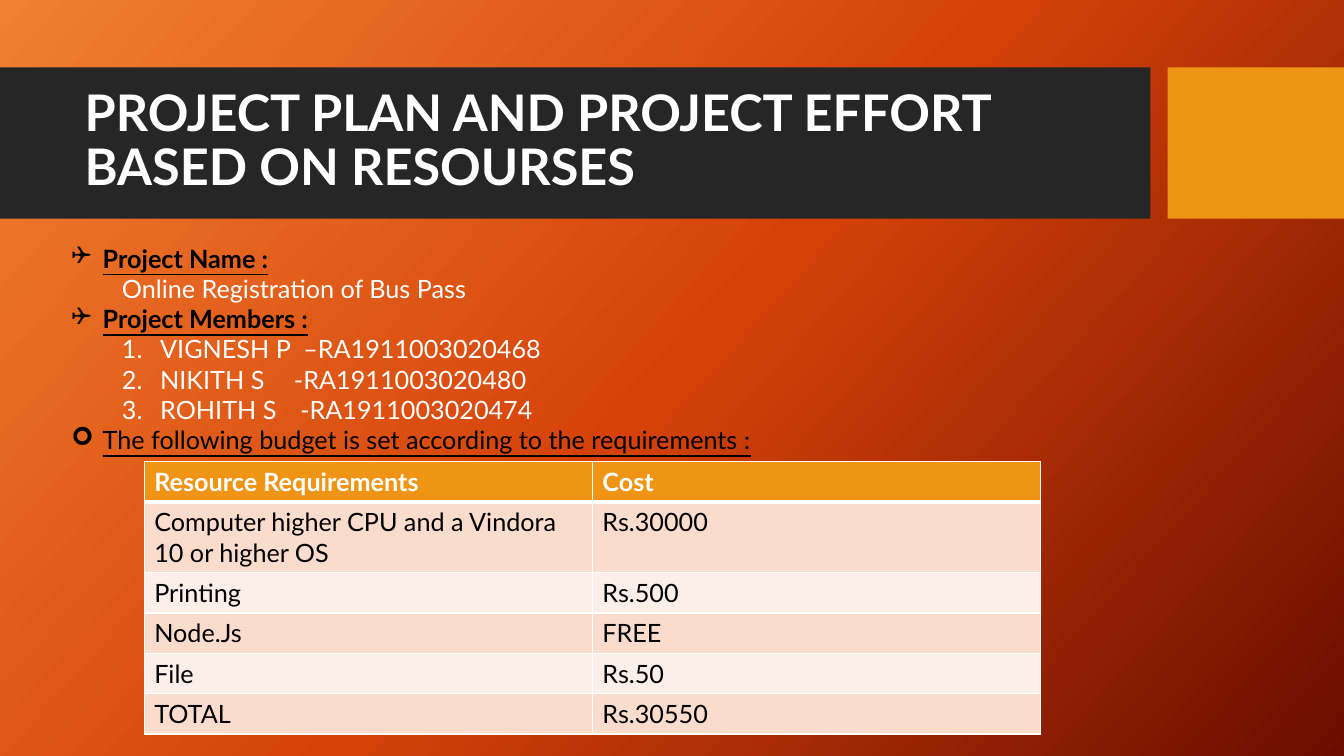
import copy
import lxml.etree
import pptx
import pptx.dml.color
import pptx.enum.shapes
import pptx.enum.text
import pptx.oxml.ns
import pptx.util

theme = {
    "font": "Lato", "head": 36, "body": 18,
    "dark": "262626", "gold": "F09415", "white": "FFFFFF", "black": "000000",
    "bands": ["FCEEE8", "F9DCCC"],
    "back": [(0, "F18031"), (0.5, "D54209"), (1, "6A0D00")],
}
qn = pptx.oxml.ns.qn
rgb = pptx.dml.color.RGBColor.from_string

deck = pptx.Presentation()
deck.slide_width = pptx.util.Inches(13.33)
deck.slide_height = pptx.util.Inches(7.5)
slide = deck.slides.add_slide(deck.slide_layouts[5])


def area(left, top, wide, high):
    """Turn percent shares of the slide into lengths."""
    across, down = deck.slide_width / 100, deck.slide_height / 100
    return [int(left * across), int(top * down), int(wide * across), int(high * down)]


def add_run(para, text, color, size=theme["body"], bold=False, under=False):
    run = para.add_run()
    run.text = text
    font = run.font
    font.name, font.size = theme["font"], pptx.util.Pt(size)
    font.bold, font.underline = bold, under
    font.color.rgb = rgb(theme[color])
    return run


# Background gradient
fill = slide.background.fill
fill.gradient()
fill.gradient_angle = 360 - 42
stops = slide.element.find(".//" + qn("a:gsLst"))
stops.insert(1, copy.deepcopy(stops[0]))
for stop, (place, color) in zip(fill.gradient_stops, theme["back"]):
    stop.position = place
    stop.color.rgb = rgb(color)

# Title band and gold block
for left, wide, color in [(0, 85.6, "dark"), (86.87, 13.13, "gold")]:
    band = slide.shapes.add_shape(
        pptx.enum.shapes.MSO_SHAPE.RECTANGLE, *area(left, 8.93, wide, 20))
    band.shadow.inherit = False
    band.fill.solid()
    band.fill.fore_color.rgb = rgb(theme[color])
    band.line.fill.background()

# Title, in front of the band
title = slide.shapes.title
title.left, title.top, title.width, title.height = area(5.55, 10.93, 78.84, 15.73)
slide.shapes._spTree.append(title.element)
frame = title.text_frame
frame.word_wrap = True
frame.auto_size = pptx.enum.text.MSO_AUTO_SIZE.NONE
frame.vertical_anchor = pptx.enum.text.MSO_ANCHOR.MIDDLE
para = frame.paragraphs[0]
para.alignment = pptx.enum.text.PP_ALIGN.LEFT
para.line_spacing = 0.9
add_run(para, "PROJECT PLAN AND PROJECT EFFORT BASED ON RESOURSES",
        "white", theme["head"], bold=True)

# Project facts: kind of line, then its text
# A member's last value is the extra gap before the number, in points
facts = [
    ("❑", "Project Name :"),
    ("plain", "Online Registration of Bus Pass"),
    ("❑", "Project Members :"),
    ("member", "VIGNESH P", "–RA1911003020468", 4.1),
    ("member", "NIKITH S", "-RA1911003020480", 16.4),
    ("member", "ROHITH S", "-RA1911003020474", 12.3),
    ("➢", "The following budget is set according to the requirements :"),
]
indents = {"plain": (0.5, 0), "member": (0.88, -0.38)}
frame = slide.shapes.add_textbox(*area(4.58, 31.47, 87.25, 29.6)).text_frame
frame.word_wrap = True
for index, (kind, text, *rest) in enumerate(facts):
    para = frame.paragraphs[0] if index == 0 else frame.add_paragraph()
    props = para._p.get_or_add_pPr()
    margin, hang = indents.get(kind, (0.31, -0.31))
    props.set("marL", str(pptx.util.Inches(margin)))
    props.set("indent", str(pptx.util.Inches(hang)))
    if kind in indents:
        para.level = 1
        add_run(para, text, "white")
    else:
        add_run(para, text, "black", bold=kind == "❑", under=True)
        lxml.etree.SubElement(props, qn("a:buFont"), typeface="Wingdings")
        lxml.etree.SubElement(props, qn("a:buChar"), char=kind)
    if kind == "member":
        number, gap = rest
        space = add_run(para, " ", "white")
        space.font._element.set("spc", str(round(gap * 100)))
        add_run(para, number, "white")
        lxml.etree.SubElement(props, qn("a:buFont"), typeface="+mj-lt")
        lxml.etree.SubElement(props, qn("a:buAutoNum"), type="arabicPeriod")

# Budget table
budget = [
    ("Resource Requirements", "Cost"),
    ("Computer higher CPU and a Vindora 10 or higher OS", "Rs.30000"),
    ("Printing", "Rs.500"),
    ("Node.Js", "FREE"),
    ("File", "Rs.50"),
    ("TOTAL", "Rs.30550"),
]
table = slide.shapes.add_table(
    len(budget), 2, *area(10.73, 61.07, 66.69, 36)).table
table.horz_banding = False
for row, texts in enumerate(budget):
    table.rows[row].height = pptx.util.Inches(0.7 if row == 1 else 0.4)
    for col, text in enumerate(texts):
        cell = table.cell(row, col)
        cell.fill.solid()
        cell.fill.fore_color.rgb = rgb(
            theme["bands"][row % 2] if row else theme["gold"])
        add_run(cell.text_frame.paragraphs[0], text,
                "black" if row else "white", bold=row == 0)
        props = cell._tc.get_or_add_tcPr()
        for spot, side in enumerate(["lnL", "lnR", "lnT", "lnB"]):
            thick = (row, side) in [(0, "lnB"), (1, "lnT")]
            edge = lxml.etree.Element(
                qn("a:" + side), w=str(pptx.util.Pt(3 if thick else 1)))
            paint = lxml.etree.SubElement(edge, qn("a:solidFill"))
            lxml.etree.SubElement(paint, qn("a:srgbClr"), val=theme["white"])
            props.insert(spot, edge)

deck.save("out.pptx")
